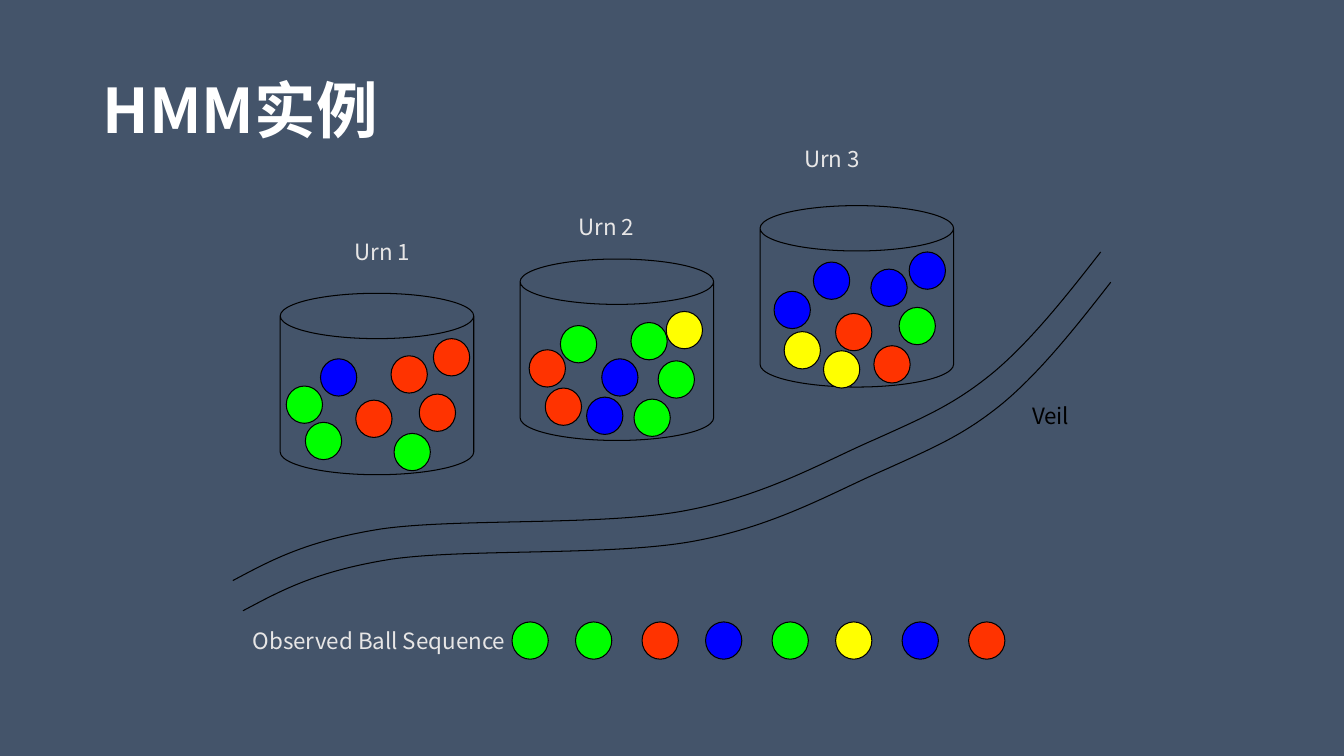
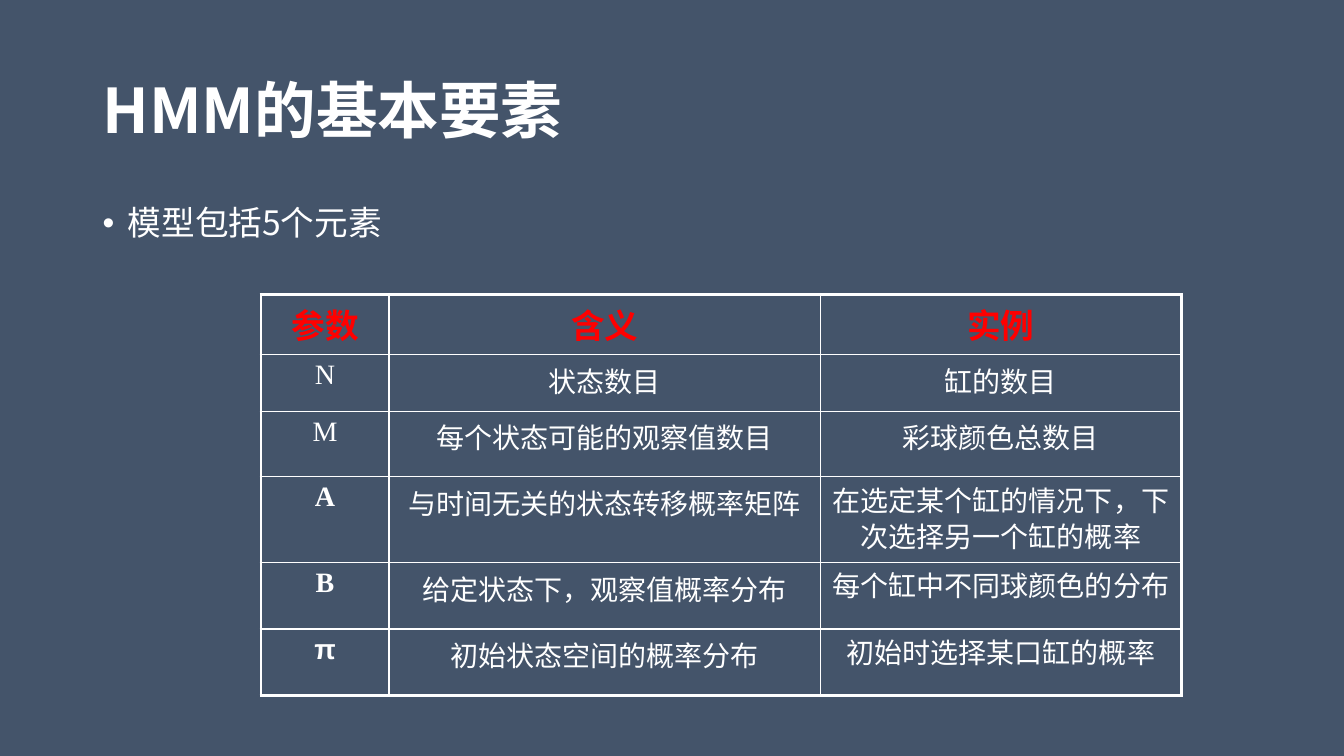
import pptx
import pptx.dml.color
import pptx.enum.shapes
import pptx.enum.text
import pptx.oxml
import pptx.oxml.ns
import pptx.util
from lxml import etree

Inches = pptx.util.Inches
Pt = pptx.util.Pt
Shape = pptx.enum.shapes.MSO_SHAPE
Align = pptx.enum.text.PP_ALIGN
Anchor = pptx.enum.text.MSO_ANCHOR
qn = pptx.oxml.ns.qn

COLORS = {
    "background": "44546A", "white": "FFFFFF", "black": "000000",
    "label": "E7E6E6", "heading": "FF0000",
    "red": "FF3300", "green": "00FF00", "blue": "0000FF", "yellow": "FFFF00",
}
CHINESE_FONT = "Noto Sans CJK SC"
LABEL_FONT = "Noto Sans CJK KR"
TABLE_FONT = "Times New Roman"

# Urns: label, label position, can position, balls as (colour, left, top)
URNS = [
    ("Urn 1", (3.42, 2.36), (2.78, 2.91), [
        ("blue", 3.18, 3.56), ("red", 3.88, 3.53), ("green", 3.03, 4.19),
        ("red", 4.16, 3.91), ("red", 3.53, 3.97), ("green", 3.91, 4.3),
        ("red", 4.3, 3.36), ("green", 2.84, 3.83)]),
    ("Urn 2", (5.64, 2.11), (5.16, 2.57), [
        ("green", 5.56, 3.23), ("green", 6.26, 3.2), ("red", 5.41, 3.85),
        ("green", 6.53, 3.58), ("blue", 5.97, 3.56), ("green", 6.29, 3.96),
        ("red", 5.25, 3.47), ("blue", 5.82, 3.94), ("yellow", 6.61, 3.09)]),
    ("Urn 3", (7.88, 1.44), (7.54, 2.04), [
        ("blue", 8.07, 2.6), ("blue", 8.64, 2.67), ("yellow", 7.78, 3.29),
        ("green", 8.92, 3.05), ("red", 8.29, 3.11), ("red", 8.67, 3.43),
        ("blue", 7.68, 2.89), ("blue", 9.02, 2.5), ("yellow", 8.17, 3.48)]),
]
# Observed balls: colour and left edge
SEQUENCE = [
    ("green", 5.08), ("green", 5.71), ("red", 6.37), ("blue", 7),
    ("green", 7.66), ("yellow", 8.29), ("blue", 8.95), ("red", 9.61),
]

# Veil edge: start point, then three points for each Bézier segment
VEIL = [
    (2.31, 5.76),
    (2.67, 5.57), (3.02, 5.37), (3.77, 5.25),
    (4.51, 5.14), (5.96, 5.22), (6.78, 5.07),
    (7.6, 4.92), (8.17, 4.58), (8.68, 4.36),
    (9.19, 4.13), (9.47, 4.01), (9.85, 3.7),
    (10.22, 3.39), (10.57, 2.95), (10.92, 2.5),
]

COLUMN_WIDTHS = [1.27, 4.28, 3.58]
ROW_HEIGHTS = [0.6, 0.56, 0.65, 0.85, 0.66, 0.66]
ELEMENTS = [
    ("参数", "含义", "实例"),
    ("N", "状态数目", "缸的数目"),
    ("M", "每个状态可能的观察值数目", "彩球颜色总数目"),
    ("A", "与时间无关的状态转移概率矩阵", "在选定某个缸的情况下，下次选择另一个缸的概率"),
    ("B", "给定状态下，观察值概率分布", "每个缸中不同球颜色的分布"),
    ("π", "初始状态空间的概率分布", "初始时选择某口缸的概率"),
]


def color(name):
    return pptx.dml.color.RGBColor.from_string(COLORS[name])


# Text
def write_text(frame, text, size=16, font=CHINESE_FONT, east_asian=CHINESE_FONT,
               fill="white", bold=False, align=Align.LEFT, line_spacing=None):
    paragraph = frame.paragraphs[0]
    paragraph.alignment = align
    if line_spacing:
        paragraph.line_spacing = line_spacing
    run = paragraph.add_run()
    run.text = text
    run.font.size = Pt(size)
    run.font.name = font
    run.font.bold = bold
    run.font.color.rgb = color(fill)
    properties = run.font._element
    etree.SubElement(properties, qn("a:ea"), typeface=east_asian)
    return paragraph


def add_text(slide, text, left, top, width, height, anchor=Anchor.TOP,
             top_inset=0.05, **text_format):
    frame = slide.shapes.add_textbox(
        Inches(left), Inches(top), Inches(width), Inches(height)).text_frame
    frame.word_wrap = True
    frame.vertical_anchor = anchor
    frame.margin_top = Inches(top_inset)
    return write_text(frame, text, **text_format)


def add_title(slide, text):
    add_text(slide, text, 0.92, 0.4, 11.5, 1.45, anchor=Anchor.MIDDLE,
             size=44, bold=True, line_spacing=0.9)


def add_label(slide, text, left, top, width=0.84, height=0.37, top_inset=0,
              fill="label"):
    add_text(slide, text, left, top, width, height, top_inset=top_inset,
             font=LABEL_FONT, east_asian=LABEL_FONT, fill=fill)


def add_bullet(slide, text):
    paragraph = add_text(slide, text, 0.92, 2, 11.5, 4.76, size=24, line_spacing=0.9)
    paragraph.space_before = Pt(10)
    properties = paragraph._p.get_or_add_pPr()
    properties.set("marL", str(Inches(0.25)))
    properties.set("indent", str(-Inches(0.25)))
    etree.SubElement(properties, qn("a:buFont"), typeface="Arial")
    etree.SubElement(properties, qn("a:buChar"), char="•")


# Drawing
def outline(shape, fill=None):
    shape.shadow.inherit = False
    shape.line.color.rgb = color("black")
    shape.line.width = Pt(0.75)
    if fill:
        shape.fill.solid()
        shape.fill.fore_color.rgb = color(fill)
    else:
        shape.fill.background()


def add_outlined(slide, kind, left, top, width, height, fill=None):
    outline(slide.shapes.add_shape(
        kind, Inches(left), Inches(top), Inches(width), Inches(height)), fill)


def add_ball(slide, fill, left, top):
    add_outlined(slide, Shape.OVAL, left, top, 0.36, 0.37, fill)


def add_urn(slide, label, label_at, can_at, balls):
    add_label(slide, label, *label_at)
    add_outlined(slide, Shape.CAN, *can_at, 1.92, 1.8)
    for ball in balls:
        add_ball(slide, *ball)


def add_curve(slide, points, shift_x=0, shift_y=0):
    placed = [(Inches(x + shift_x), Inches(y + shift_y)) for x, y in points]
    builder = slide.shapes.build_freeform(*placed[0])
    builder.add_line_segments(placed[1:], close=False)
    shape = builder.convert_to_shape()
    # Each three straight segments become one cubic Bézier segment
    lines = list(shape._element.iter(qn("a:lnTo")))
    for start in range(0, len(lines), 3):
        segment = lines[start:start + 3]
        curve = etree.Element(qn("a:cubicBezTo"))
        segment[0].addprevious(curve)
        for line in segment:
            curve.append(line[0])
            line.getparent().remove(line)
    outline(shape)


# Table
def set_border(cell, side, width):
    line = etree.SubElement(cell._tc.get_or_add_tcPr(), qn("a:ln" + side),
                            w=str(Pt(width)))
    fill = etree.SubElement(line, qn("a:solidFill"))
    etree.SubElement(fill, qn("a:srgbClr"), val=COLORS["white"])


def add_elements_table(slide, left, top):
    last_row, last_column = len(ROW_HEIGHTS) - 1, len(COLUMN_WIDTHS) - 1
    table = slide.shapes.add_table(
        len(ROW_HEIGHTS), len(COLUMN_WIDTHS), Inches(left), Inches(top),
        Inches(sum(COLUMN_WIDTHS)), Inches(sum(ROW_HEIGHTS))).table
    table.first_row = table.horz_banding = False
    for column, width in zip(table.columns, COLUMN_WIDTHS):
        column.width = Inches(width)
    for row, height in zip(table.rows, ROW_HEIGHTS):
        row.height = Inches(height)
    for row, texts in enumerate(ELEMENTS):
        for column, text in enumerate(texts):
            cell = table.cell(row, column)
            outer_sides = {"L": column == 0, "R": column == last_column,
                           "T": row == 0, "B": row == last_row}
            for side, is_outer in outer_sides.items():
                set_border(cell, side, 2.25 if is_outer else 1)
            cell.fill.background()
            header = row == 0
            write_text(
                cell.text_frame, text, size=24 if header else 20,
                font="Arial" if text == "π" else TABLE_FONT,
                fill="heading" if header else "white",
                bold=header or text in ("A", "B", "π"), align=Align.CENTER,
                line_spacing=0.9 if column == last_column and row >= 3 else None)


# Slides
def add_slide(presentation, title):
    slide = presentation.slides.add_slide(presentation.slide_layouts[6])
    add_title(slide, title)
    return slide


def build_example(presentation):
    slide = add_slide(presentation, "HMM实例")
    for urn in URNS:
        add_urn(slide, *urn)
    add_curve(slide, VEIL)
    add_curve(slide, VEIL, 0.1, 0.3)
    add_label(slide, "Veil", 10.14, 3.99, width=0.62, fill="black")
    add_label(slide, "Observed Ball Sequence", 2.41, 6.17, width=3.04,
              height=0.43, top_inset=0.05)
    for fill, left in SEQUENCE:
        add_ball(slide, fill, left, 6.17)


def build_elements(presentation):
    slide = add_slide(presentation, "HMM的基本要素")
    add_bullet(slide, "模型包括5个元素")
    add_elements_table(slide, 2.59, 2.92)


def main():
    presentation = pptx.Presentation()
    presentation.slide_width = Inches(40 / 3)
    presentation.slide_height = Inches(7.5)
    background = presentation.slide_master.background.fill
    background.solid()
    background.fore_color.rgb = color("background")
    build_example(presentation)
    build_elements(presentation)
    presentation.save("out.pptx")


if __name__ == "__main__":
    main()
